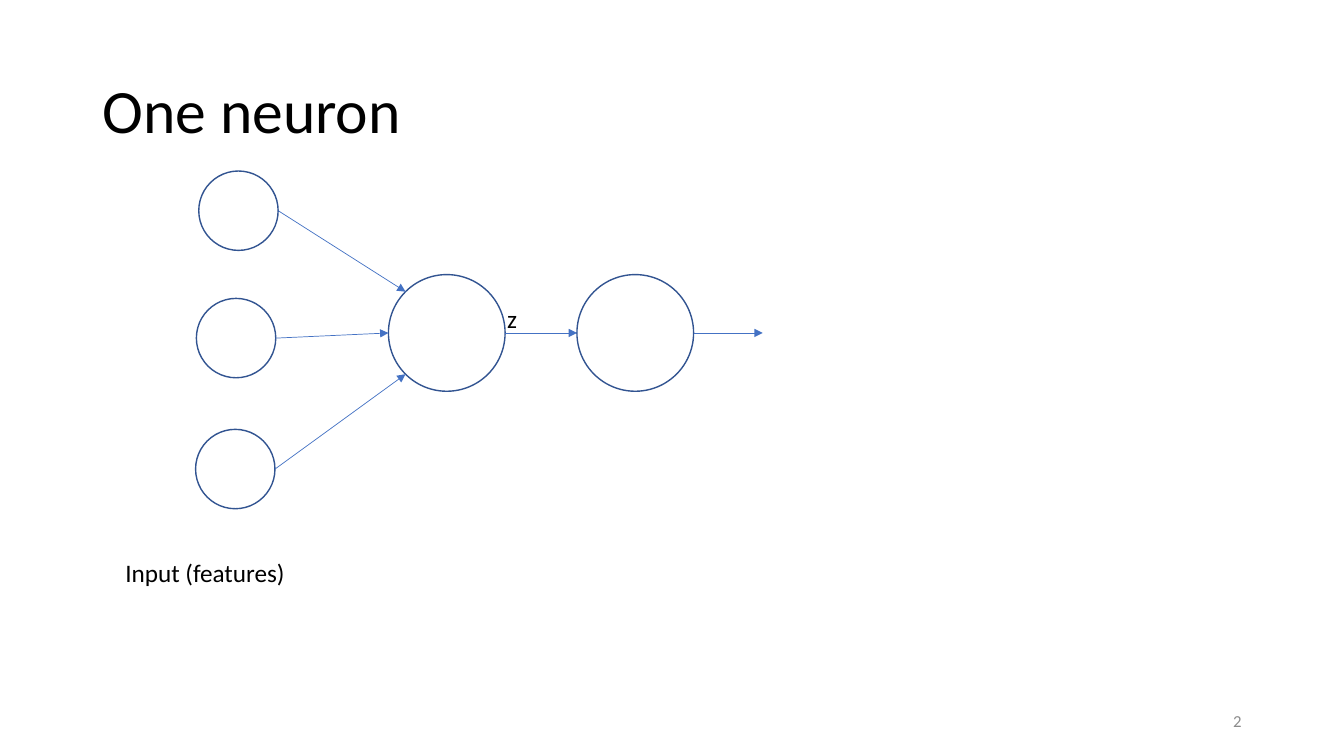
import math

from lxml import etree
from pptx import Presentation
from pptx import util as u
from pptx.dml.color import RGBColor
from pptx.enum import shapes, text
from pptx.oxml.ns import qn


def colour(value):
    return RGBColor.from_string(value)


class Diagram:
    font = "Calibri"
    ink = "000000"
    grey = "8C8C8C"
    outline = "325491"
    arrow_line = "4472C4"

    def __init__(self, prs):
        self.slide = prs.slides.add_slide(prs.slide_layouts[5])

    def set_text(self, sp, words, size, ink, align, anchor):
        tf = sp.text_frame
        tf.text = words
        tf.vertical_anchor = anchor
        p = tf.paragraphs[0]
        p.alignment = align
        r = p.runs[0]
        r.font.name = self.font
        r.font.size = u.Pt(size)
        r.font.color.rgb = colour(ink)
        return p

    def title(self, words, left, top, width, height):
        sp = self.slide.shapes.title
        sp.left, sp.top = u.Cm(left), u.Cm(top)
        sp.width, sp.height = u.Cm(width), u.Cm(height)
        sp.text_frame.auto_size = text.MSO_AUTO_SIZE.NONE
        p = self.set_text(sp, words, 44, self.ink,
                          text.PP_ALIGN.LEFT, text.MSO_ANCHOR.MIDDLE)
        p.line_spacing = 0.9

    def label(self, words, left, top, width, height, size=18, ink=ink,
              align=text.PP_ALIGN.LEFT, anchor=text.MSO_ANCHOR.TOP,
              wrap=False, side_margin=0.25):
        sp = self.slide.shapes.add_textbox(
            u.Cm(left), u.Cm(top), u.Cm(width), u.Cm(height))
        tf = sp.text_frame
        tf.word_wrap = wrap
        tf.margin_left = tf.margin_right = u.Cm(side_margin)
        self.set_text(sp, words, size, ink, align, anchor)

    def circle(self, centre, radius):
        x, y = centre
        sp = self.slide.shapes.add_shape(
            shapes.MSO_SHAPE.OVAL, u.Cm(x - radius), u.Cm(y - radius),
            u.Cm(2 * radius), u.Cm(2 * radius))
        sp.shadow.inherit = False
        sp.fill.background()
        sp.line.color.rgb = colour(self.outline)
        sp.line.width = u.Pt(1)

    def arrow(self, start, end):
        cxn = self.slide.shapes.add_connector(
            shapes.MSO_CONNECTOR.STRAIGHT,
            *(u.Cm(v) for v in (*start, *end)))
        cxn.line.color.rgb = colour(self.arrow_line)
        cxn.line.width = u.Pt(0.5)
        sp_pr = cxn._element.spPr
        etree.SubElement(sp_pr.find(qn("a:ln")), qn("a:tailEnd"),
                         type="triangle")
        etree.SubElement(sp_pr, qn("a:effectLst"))


def rim(centre, radius, degrees):
    angle = math.radians(degrees)
    return (centre[0] + radius * math.cos(angle),
            centre[1] + radius * math.sin(angle))


def main():
    prs = Presentation()
    prs.slide_width, prs.slide_height = u.Cm(33.87), u.Cm(19.05)
    d = Diagram(prs)
    d.title("One neuron", 2.33, 1.01, 29.21, 3.68)

    input_radius, neuron_radius = 1, 1.47
    inputs = [(6.01, 5.31), (5.95, 8.52), (5.93, 11.82)]
    weighted_sum, activation = (11.26, 8.39), (16.01, 8.39)
    output = (19.22, 8.39)

    for centre in (weighted_sum, activation):
        d.circle(centre, neuron_radius)
    for centre, entry in zip(inputs, (225, 180, 135)):
        d.circle(centre, input_radius)
        d.arrow(rim(centre, input_radius, 0),
                rim(weighted_sum, neuron_radius, entry))
    d.arrow(rim(weighted_sum, neuron_radius, 0),
            rim(activation, neuron_radius, 180))
    d.arrow(rim(activation, neuron_radius, 0), output)

    d.label("Input (features)", 2.91, 13.92, 4.57, 1.03)
    d.label("z", 12.78, 7.52, 0.4, 1.03, side_margin=0)
    d.label("2", 23.92, 17.66, 7.62, 1.01, size=12, ink=d.grey,
            align=text.PP_ALIGN.RIGHT, anchor=text.MSO_ANCHOR.MIDDLE,
            wrap=True)
    prs.save("out.pptx")


if __name__ == "__main__":
    main()
